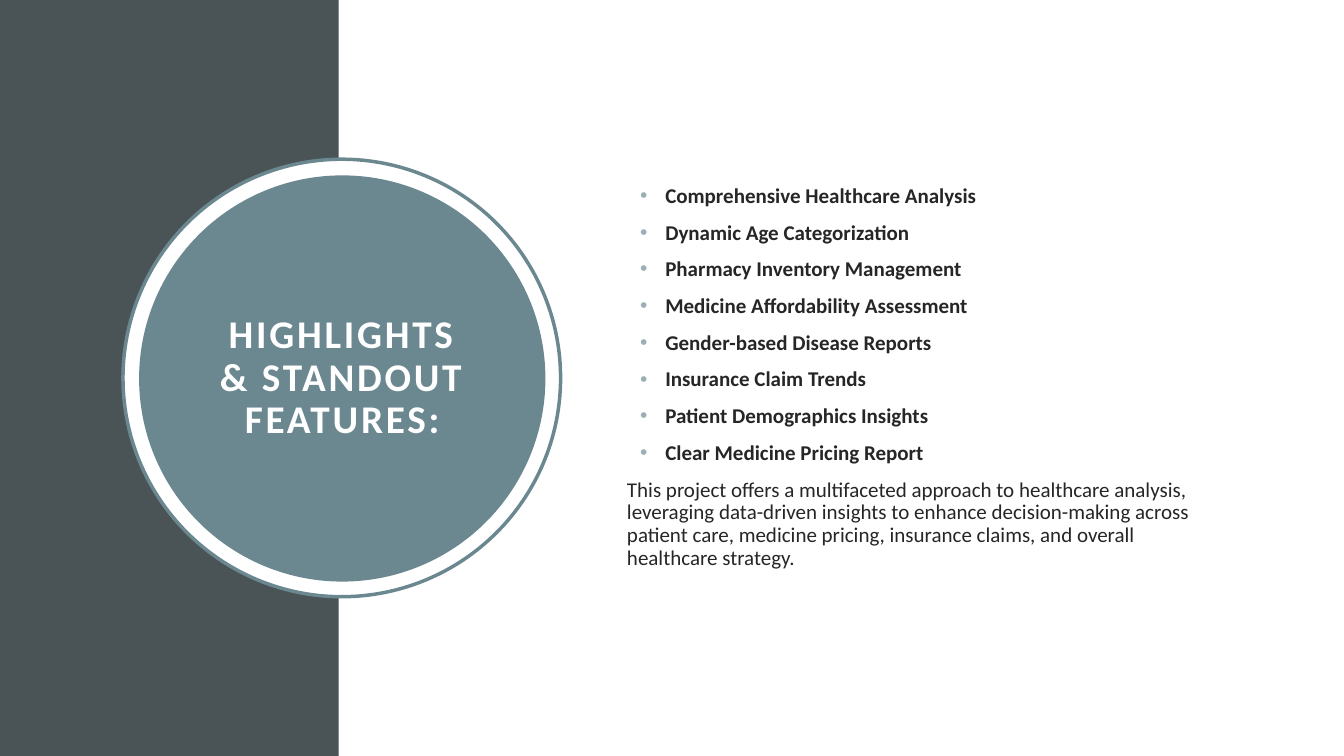
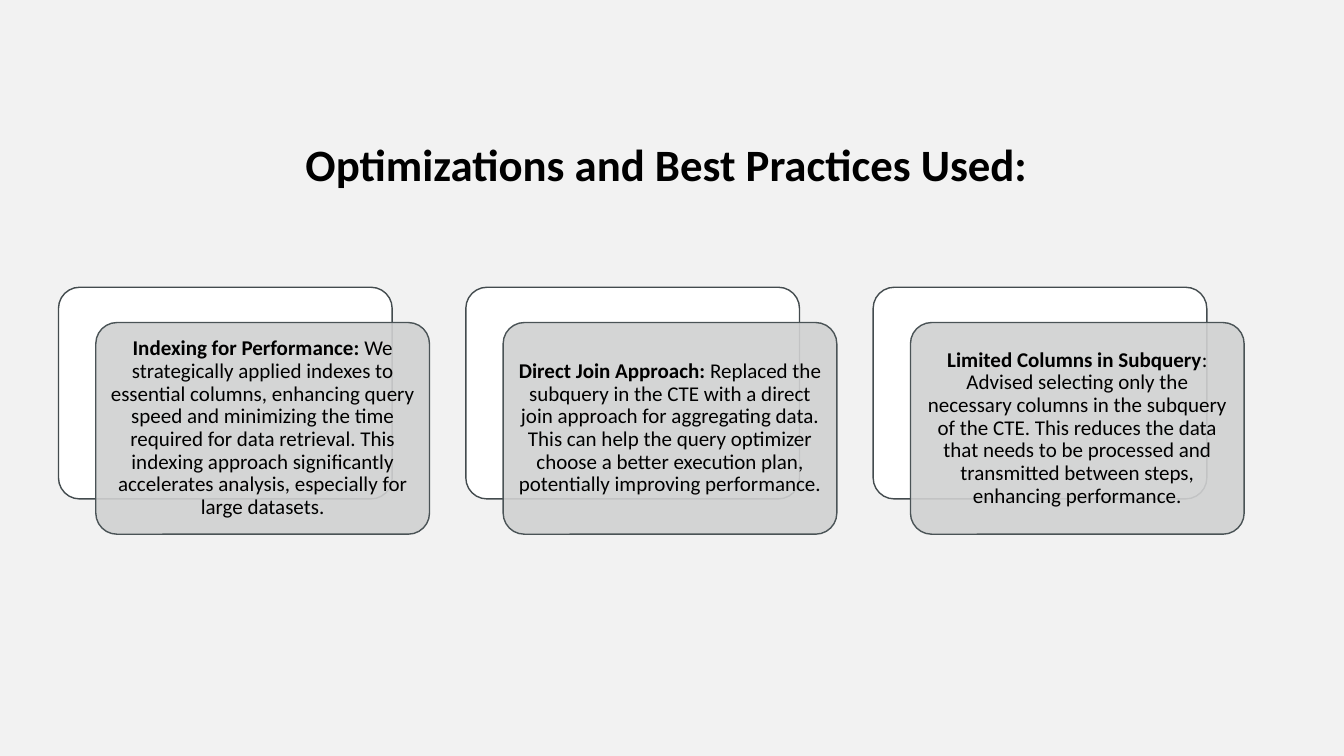
"""Build two slides: project highlights and query best practices."""
from lxml.etree import SubElement
from pptx import Presentation
from pptx.dml.color import RGBColor
from pptx.enum.shapes import MSO_SHAPE
from pptx.enum.text import MSO_ANCHOR, MSO_AUTO_SIZE, PP_ALIGN
from pptx.oxml.ns import qn
from pptx.util import Inches, Pt

FONT = "Calibri"
COLORS = {
    "slate": "4A5356", "edge": "434B4E", "teal": "6B8891", "bullet": "9BAFB5",
    "card": "D0D1D1", "paper": "F2F2F2", "white": "FFFFFF", "black": "000000",
    "text": "262626",
}


def write(tf, runs, size=15, color="text", align=PP_ALIGN.LEFT, leading=0.9,
          before=0, after=0, inset=None, spacing=None, bullet=False):
    """Add one paragraph of (text, bold) runs to a text frame."""
    tf.word_wrap = True
    tf.auto_size = MSO_AUTO_SIZE.NONE
    tf.vertical_anchor = MSO_ANCHOR.MIDDLE
    if inset is not None:
        tf.margin_left = tf.margin_right = Inches(inset)
        tf.margin_top = tf.margin_bottom = Inches(inset)
    p = tf.add_paragraph() if tf.text else tf.paragraphs[0]
    p.alignment = align
    p.line_spacing = leading
    p.space_before, p.space_after = Pt(before), Pt(after)
    if bullet:
        pPr = p._p.get_or_add_pPr()
        pPr.set("marL", str(Inches(0.38)))
        pPr.set("indent", str(Inches(-0.25)))
        SubElement(SubElement(pPr, qn("a:buClr")), qn("a:srgbClr"), val=COLORS["bullet"])
        SubElement(pPr, qn("a:buFont"), typeface="Arial")
        SubElement(pPr, qn("a:buChar"), char="•")
    for text, bold in runs:
        r = p.add_run()
        r.text = text
        r.font.name, r.font.size, r.font.bold = FONT, Pt(size), bold
        r.font.color.rgb = RGBColor.from_string(COLORS[color])
        if spacing:
            r._r.get_or_add_rPr().set("spc", str(spacing * 100))


def add_panel(s, kind, box, fill, line=None, width=1, opacity=None):
    """Add a filled preset shape, outlined when a line colour is given."""
    sp = s.shapes.add_shape(kind, *map(Inches, box))
    sp.shadow.inherit = False
    sp.fill.solid()
    sp.fill.fore_color.rgb = RGBColor.from_string(COLORS[fill])
    if line:
        sp.line.color.rgb = RGBColor.from_string(COLORS[line])
        sp.line.width = Pt(width)
    else:
        sp.line.fill.background()
    if opacity:
        clr = sp._element.spPr.find(qn("a:solidFill")).find(qn("a:srgbClr"))
        SubElement(clr, qn("a:alpha"), val=str(opacity * 1000))
    if kind == MSO_SHAPE.ROUNDED_RECTANGLE:
        sp.adjustments[0] = 0.1
    return sp


prs = Presentation()
prs.slide_width, prs.slide_height = Inches(13.33), Inches(7.5)
title_only = prs.slide_layouts[5]

s = prs.slides.add_slide(title_only)
add_panel(s, MSO_SHAPE.RECTANGLE, (0, 0, 3.36, 7.5), "slate")
add_panel(s, MSO_SHAPE.OVAL, (1.22, 1.58, 4.34, 4.34), "white", "teal", 2.5)
add_panel(s, MSO_SHAPE.OVAL, (1.38, 1.74, 4.03, 4.03), "teal")

title = s.shapes.title
title.left, title.top, title.width, title.height = map(Inches, (1.92, 2.33, 2.95, 2.85))
s.shapes._spTree.append(title._element)
write(title.text_frame, [("HIGHLIGHTS & STANDOUT FEATURES:", True)], size=28,
      color="white", align=PP_ALIGN.CENTER, after=8, inset=0.2, spacing=2)

highlights = [
    "Comprehensive Healthcare Analysis",
    "Dynamic Age Categorization",
    "Pharmacy Inventory Management",
    "Medicine Affordability Assessment",
    "Gender-based Disease Reports",
    "Insurance Claim Trends",
    "Patient Demographics Insights",
    "Clear Medicine Pricing Report",
]
summary = (
    "This project offers a multifaceted approach to healthcare analysis, "
    "leveraging data-driven insights to enhance decision-making across patient "
    "care, medicine pricing, insurance claims, and overall healthcare strategy."
)
tf = s.shapes.add_textbox(*map(Inches, (6.12, 1.53, 5.82, 4.43))).text_frame
for highlight in highlights:
    write(tf, [(highlight, True)], before=10, bullet=True)
write(tf, [(summary, False)], before=10)

s = prs.slides.add_slide(title_only)
s.background.fill.solid()
s.background.fill.fore_color.rgb = RGBColor.from_string(COLORS["paper"])

title = s.shapes.title
title.left, title.top, title.width, title.height = map(Inches, (2.93, 1.28, 7.47, 0.65))
write(title.text_frame, [("Optimizations and Best Practices Used:", True)],
      size=32, color="black", leading=1.07, after=8)

practices = [
    ("Indexing for Performance: ",
     "We strategically applied indexes to essential columns, enhancing query speed "
     "and minimizing the time required for data retrieval. This indexing approach "
     "significantly accelerates analysis, especially for large datasets."),
    ("Direct Join Approach: ",
     "Replaced the subquery in the CTE with a direct join approach for aggregating "
     "data. This can help the query optimizer choose a better execution plan, "
     "potentially improving performance."),
    ("Limited Columns in Subquery",
     ": Advised selecting only the necessary columns in the subquery of the CTE. "
     "This reduces the data that needs to be processed and transmitted between "
     "steps, enhancing performance."),
]
card_w, card_h, pitch = 3.31, 2.1, 4.04
for i, (heading, detail) in enumerate(practices):
    x = 0.58 + i * pitch
    add_panel(s, MSO_SHAPE.ROUNDED_RECTANGLE, (x, 2.85, card_w, card_h), "white", "edge")
    card = add_panel(s, MSO_SHAPE.ROUNDED_RECTANGLE, (x + 0.37, 3.2, card_w, card_h),
                     "card", "slate", opacity=90)
    write(card.text_frame, [(heading, True), (detail, False)], color="black",
          align=PP_ALIGN.CENTER, inset=0.06)

prs.save("out.pptx")
